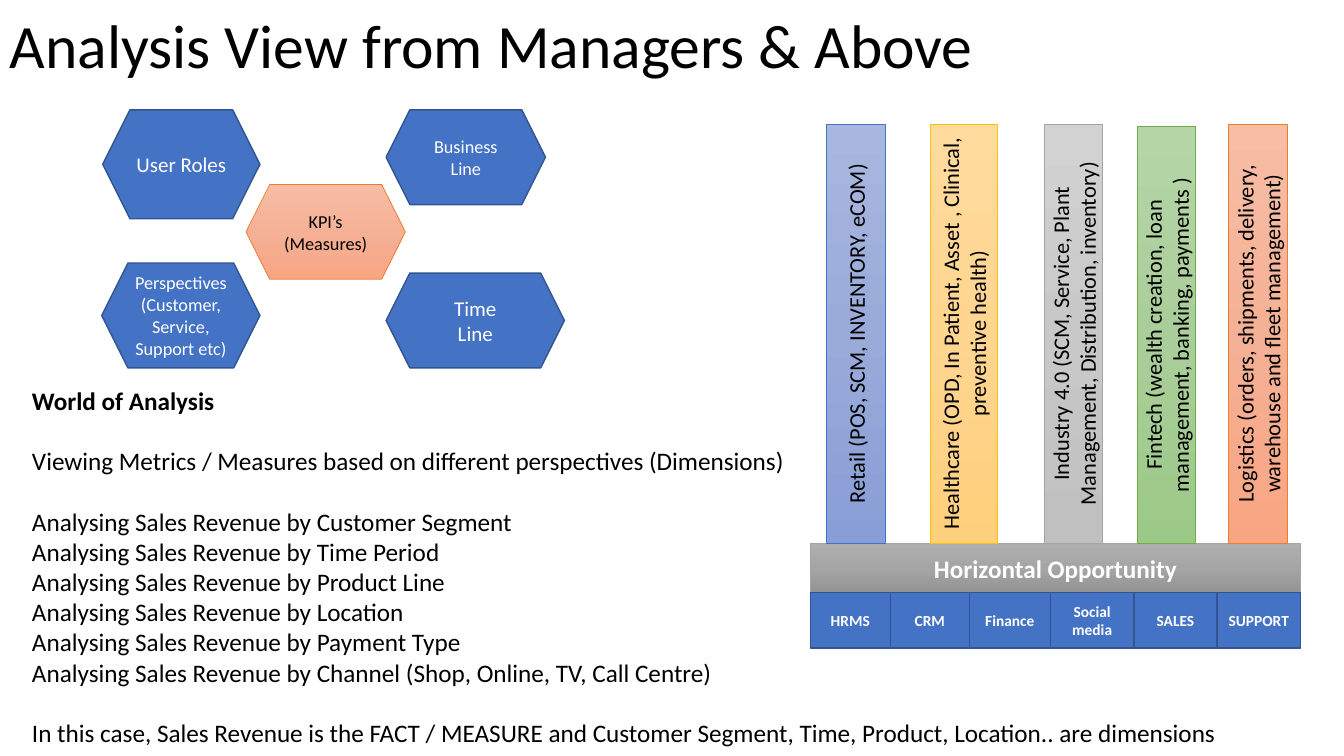
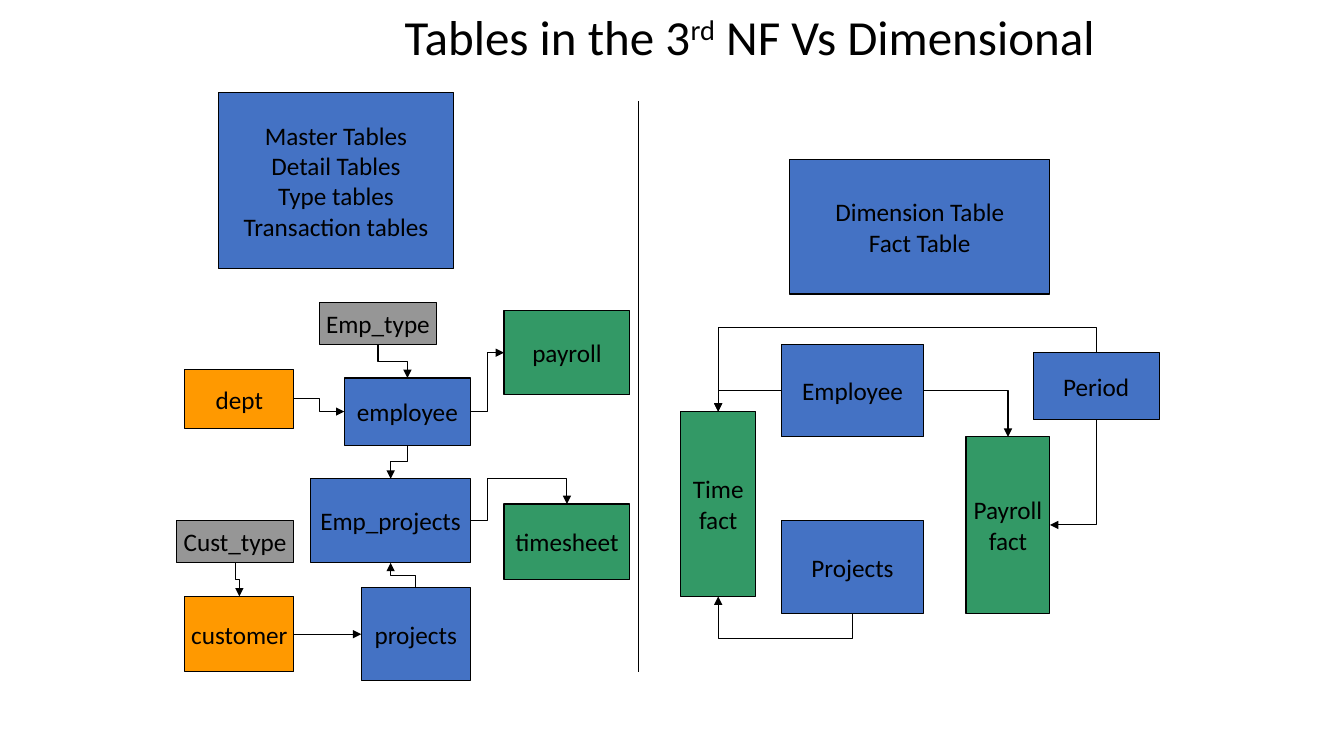
from copy import deepcopy

from lxml import etree
from pptx import Presentation
from pptx.dml.color import RGBColor
from pptx.enum.shapes import MSO_CONNECTOR, MSO_SHAPE
from pptx.enum.text import MSO_ANCHOR, PP_ALIGN
from pptx.oxml.ns import qn
from pptx.util import Pt

RECTANGLE = MSO_SHAPE.RECTANGLE
HEXAGON = MSO_SHAPE.HEXAGON
STRAIGHT = MSO_CONNECTOR.STRAIGHT
ELBOW = MSO_CONNECTOR.ELBOW
MIDDLE = MSO_ANCHOR.MIDDLE
LEFT_ALIGN = PP_ALIGN.LEFT
CENTER = PP_ALIGN.CENTER

FONT = "Calibri"
BLACK, WHITE = "000000", "FFFFFF"
BLUE, NAVY = "4472C4", "325491"
ORANGE, GREEN, GRAY = "FF9900", "339966", "969696"
SALMON_EDGE, SILVER_EDGE = "ED7D31", "A5A5A5"
SALMON = ("F7BDA5", "F5B196", "F8A582")

TOP, LEFT, BOTTOM, RIGHT = range(4)
# Outward direction of each side, and the clockwise turn from "right"
DIRECTIONS = {TOP: (0, -1, 270), LEFT: (-1, 0, 180),
              BOTTOM: (0, 1, 90), RIGHT: (1, 0, 0)}

HEXAGONS = [
    (73.4, 78.5, 112.3, 77.8, 15, "User Roles"),
    (72.7, 187.9, 113, 74.9, 13, "Perspectives\n(Customer, Service, Support etc)"),
    (275.8, 78.5, 113.8, 67.7, 13, "Business Line"),
    (275.8, 195.1, 127.4, 67.7, 15, "Time\nLine"),
]
PILLARS = [
    (590.4, 88.6, 41.8, ("A8B7DF", "9AABD9", "889ED7"), BLUE,
     "Retail (POS, SCM, INVENTORY, eCOM)"),
    (664.6, 88.6, 47.5, ("FFDB9E", "FFD590", "FFD07C"), "FFC000",
     "Healthcare (OPD, In Patient, Asset , Clinical, preventive health)"),
    (745.9, 88.6, 41.8, ("D2D2D2", "C8C8C8", "C0C0C0"), SILVER_EDGE,
     "Industry 4.0 (SCM, Service, Plant Management, Distribution, inventory)"),
    (812.2, 90.4, 41.8, ("B5D5A7", "AACE9A", "9CC987"), "70AD47",
     "Fintech (wealth creation, loan management, banking, payments )"),
    (877.7, 88.6, 41.8, SALMON, SALMON_EDGE,
     "Logistics (orders, shipments, delivery, warehouse and fleet management)"),
]
BASE_LEFT, BASE_TOP, BASE_WIDTH, BASE_HEIGHT = 578.9, 388.1, 350, 35.3
FUNCTIONS = [("HRMS", 57), ("CRM", 56.5), ("Finance", 58),
             ("Social media", 59.5), ("SALES", 59.5), ("SUPPORT", 59.5)]
# Text and blank lines before it
ANALYSIS = [
    ("World of Analysis", 0),
    ("Viewing Metrics / Measures based on different perspectives (Dimensions)", 1),
    ("Analysing Sales Revenue by Customer Segment", 1),
    ("Analysing Sales Revenue by Time Period", 0),
    ("Analysing Sales Revenue by Product Line", 0),
    ("Analysing Sales Revenue by Location", 0),
    ("Analysing Sales Revenue by Payment Type", 0),
    ("Analysing Sales Revenue by Channel (Shop, Online, TV, Call Centre)", 0),
    ("In this case, Sales Revenue is the FACT / MEASURE and Customer Segment, "
     "Time, Product, Location.. are dimensions", 1),
]

TABLE_BOXES = [
    (156, 66, 168, 126, BLUE,
     "Master Tables\nDetail Tables\nType tables\nTransaction tables"),
    (564, 114, 186, 96, BLUE, "Dimension Table\nFact Table"),
    (132, 264, 78, 42, ORANGE, "dept"),
    (246, 270, 90, 48, BLUE, "employee"),
    (258, 420, 78, 66, BLUE, "projects"),
    (360, 222, 90, 60, GREEN, "payroll"),
    (132, 426, 78, 54, ORANGE, "customer"),
    (222, 342, 114, 60, BLUE, "Emp_projects"),
    (360, 360, 90, 54, GREEN, "timesheet"),
    (126, 372, 84, 30, GRAY, "Cust_type"),
    (228, 216, 84, 30, GRAY, "Emp_type"),
    (558, 246, 102, 66, BLUE, "Employee"),
    (558, 372, 102, 66, BLUE, "Projects"),
    (738, 252, 90, 48, BLUE, "Period"),
    (690, 312, 60, 126, GREEN, "Payroll\nfact"),
    (486, 294, 54, 132, GREEN, "Time\nfact"),
]
# Source, side, target, side, then the signed lengths of the free legs
ELBOWS = [
    ("employee", RIGHT, "payroll", LEFT, 12),
    ("dept", RIGHT, "employee", LEFT, 18),
    ("employee", BOTTOM, "Emp_projects", TOP, 12),
    ("projects", TOP, "Emp_projects", BOTTOM, 9),
    ("Emp_projects", RIGHT, "timesheet", TOP, 12, -30),
    ("Cust_type", BOTTOM, "customer", TOP, 12),
    ("Emp_type", BOTTOM, "employee", TOP, 12),
    ("Period", BOTTOM, "Payroll\nfact", RIGHT),
    ("Employee", RIGHT, "Payroll\nfact", TOP),
    ("Employee", LEFT, "Time\nfact", TOP),
    ("Projects", BOTTOM, "Time\nfact", BOTTOM, 18),
    ("Period", TOP, "Time\nfact", TOP, 18),
]


def color(hex_value):
    return RGBColor.from_string(hex_value)


def style_paragraph(paragraph, size, font_color=BLACK, bold=False, align=CENTER):
    paragraph.alignment = align
    font = paragraph.font
    font.name, font.size, font.bold = FONT, Pt(size), bold
    font.color.rgb = color(font_color)


def add_textbox(slide, left, top, width, height):
    frame = slide.shapes.add_textbox(Pt(left), Pt(top), Pt(width), Pt(height)).text_frame
    frame.word_wrap = True
    return frame


def add_title(slide, left, top, width, height, size, parts):
    """Add a title whose every second part is superscript."""
    frame = add_textbox(slide, left, top, width, height)
    frame.vertical_anchor = MIDDLE
    paragraph = frame.paragraphs[0]
    paragraph.line_spacing = 0.9
    for index, part in enumerate(parts):
        run = paragraph.add_run()
        run.text = part
        if index % 2:
            run._r.get_or_add_rPr().set("baseline", "30000")
    style_paragraph(paragraph, size, align=LEFT_ALIGN)


def fill_gradient(shape, colors):
    """Fill from top to bottom with three evenly placed colours."""
    shape.fill.gradient()
    shape.fill.gradient_angle = 270
    stop_list = shape._element.spPr.find(qn("a:gradFill")).find(qn("a:gsLst"))
    stop_list.insert(1, deepcopy(stop_list[0]))
    for index, stop in enumerate(shape.fill.gradient_stops):
        stop.position = index / 2
        stop.color.rgb = color(colors[index])


def add_box(slide, left, top, width, height, fill, edge, text, size,
            font_color=BLACK, kind=RECTANGLE, edge_width=0.5, bold=False, wrap=True):
    """Add a shape with centred text; a tuple of colours as fill gives a gradient."""
    shape = slide.shapes.add_shape(kind, Pt(left), Pt(top), Pt(width), Pt(height))
    shape.shadow.inherit = False
    if isinstance(fill, tuple):
        fill_gradient(shape, fill)
    else:
        shape.fill.solid()
        shape.fill.fore_color.rgb = color(fill)
    shape.line.color.rgb = color(edge)
    shape.line.width = Pt(edge_width)
    frame = shape.text_frame
    frame.word_wrap = wrap
    frame.vertical_anchor = MIDDLE
    frame.text = text
    for paragraph in frame.paragraphs:
        style_paragraph(paragraph, size, font_color, bold)
    return shape


def add_line(slide, kind, points=(0, 0, 0, 0), arrow=True):
    connector = slide.shapes.add_connector(kind, *(Pt(value) for value in points))
    connector.line.color.rgb = color(BLACK)
    connector.line.width = Pt(0.75)
    properties = connector._element.spPr
    if arrow:
        etree.SubElement(properties.find(qn("a:ln")), qn("a:tailEnd"), type="triangle")
    etree.SubElement(properties, qn("a:effectLst"))
    return connector


def join(connector, source, source_side, target, target_side):
    connector.begin_connect(source, source_side)
    connector.end_connect(target, target_side)


def add_elbow(slide, source, source_side, target, target_side, legs):
    """Route a bent arrow that leaves the source at a right angle to its side."""
    connector = add_line(slide, ELBOW)
    join(connector, source, source_side, target, target_side)
    start_x, start_y = connector.begin_x, connector.begin_y
    end_x, end_y = connector.end_x, connector.end_y
    unit_x, unit_y, turn = DIRECTIONS[source_side]
    delta_x, delta_y = end_x - start_x, end_y - start_y
    along = delta_x * unit_x + delta_y * unit_y
    across = delta_y * unit_x - delta_x * unit_y

    connector.width, connector.height = abs(along), abs(across)
    connector.left = (start_x + end_x - abs(along)) // 2
    connector.top = (start_y + end_y - abs(across)) // 2
    properties = connector._element.spPr
    transform = properties.find(qn("a:xfrm"))
    transform.set("rot", str(turn * 60000))
    transform.set("flipH", str(int(along < 0)))
    transform.set("flipV", str(int(across < 0)))

    geometry = properties.find(qn("a:prstGeom"))
    geometry.set("prst", f"bentConnector{len(legs) + 2}")
    adjustments = geometry.find(qn("a:avLst"))
    for index, (leg, span) in enumerate(zip(legs, (along, across)), 1):
        ratio = round(Pt(leg) / span * 100000)
        etree.SubElement(adjustments, qn("a:gd"), name=f"adj{index}", fmla=f"val {ratio}")


def build_analysis_slide(slide):
    add_title(slide, 0, 2.9, 958, 64, 44, ["Analysis View from Managers & Above"])
    for left, top, width, height, size, text in HEXAGONS:
        add_box(slide, left, top, width, height, BLUE, NAVY, text, size, WHITE,
                kind=HEXAGON, edge_width=1)
    add_box(slide, 175.7, 131.8, 113.8, 67.7, SALMON, SALMON_EDGE,
            "KPI’s\n(Measures)", 13, kind=HEXAGON)

    add_box(slide, BASE_LEFT, BASE_TOP, BASE_WIDTH, BASE_HEIGHT,
            ("AFAFAF", "A5A5A5", "939393"), SILVER_EDGE,
            "Horizontal Opportunity", 18, WHITE, bold=True)
    for left, top, width, colors, edge, text in PILLARS:
        pillar = add_box(slide, left, top, width, BASE_TOP - top, colors, edge, text, 16)
        pillar.text_frame._txBody.bodyPr.set("vert", "vert270")
    left = BASE_LEFT
    for text, width in FUNCTIONS:
        add_box(slide, left, BASE_TOP + BASE_HEIGHT, width, 39.6, BLUE, NAVY, text, 11,
                WHITE, edge_width=1, bold=True)
        left += width

    frame = add_textbox(slide, 15.8, 271.4, 870, 269)
    for index, (text, blank_lines) in enumerate(ANALYSIS):
        paragraph = frame.add_paragraph() if index else frame.paragraphs[0]
        paragraph.text = text
        if blank_lines:
            paragraph.space_before = Pt(21.6 * blank_lines)
        style_paragraph(paragraph, 18, bold=index == 0, align=LEFT_ALIGN)


def build_tables_slide(slide):
    add_title(slide, 282, 0, 534, 56, 35,
              ["Tables in the 3", "rd", " NF Vs Dimensional"])
    add_line(slide, STRAIGHT, (456, 72, 456, 480), arrow=False)
    boxes = {}
    for left, top, width, height, fill, text in TABLE_BOXES:
        boxes[text] = add_box(slide, left, top, width, height, fill, BLACK, text, 18,
                              edge_width=0.75, wrap=False)
    join(add_line(slide, STRAIGHT), boxes["customer"], RIGHT, boxes["projects"], LEFT)
    for source, source_side, target, target_side, *legs in ELBOWS:
        add_elbow(slide, boxes[source], source_side, boxes[target], target_side, legs)


def main():
    presentation = Presentation()
    presentation.slide_width, presentation.slide_height = Pt(960), Pt(540)
    blank = presentation.slide_layouts[6]
    for build in (build_analysis_slide, build_tables_slide):
        build(presentation.slides.add_slide(blank))
    presentation.save("out.pptx")


if __name__ == "__main__":
    main()
